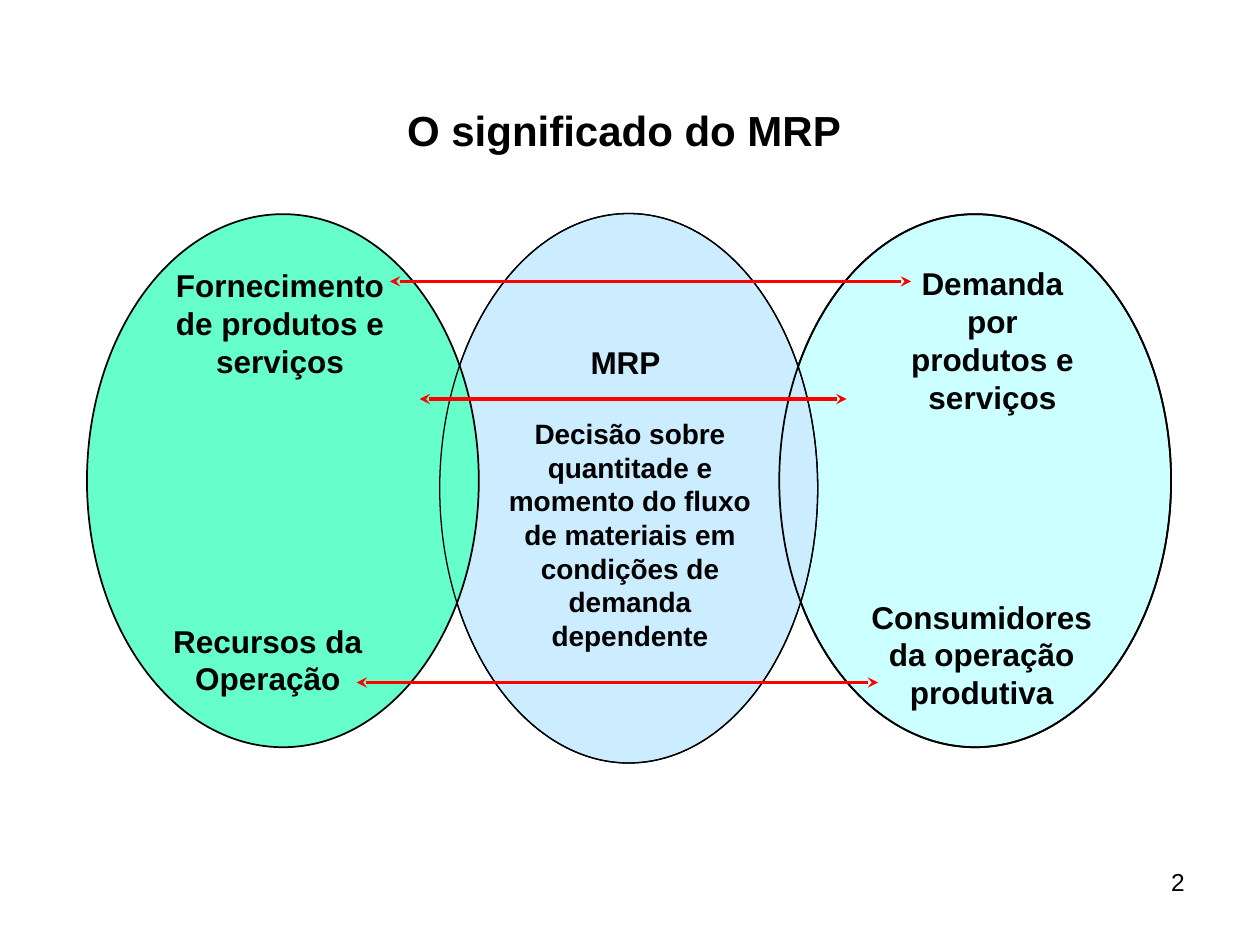
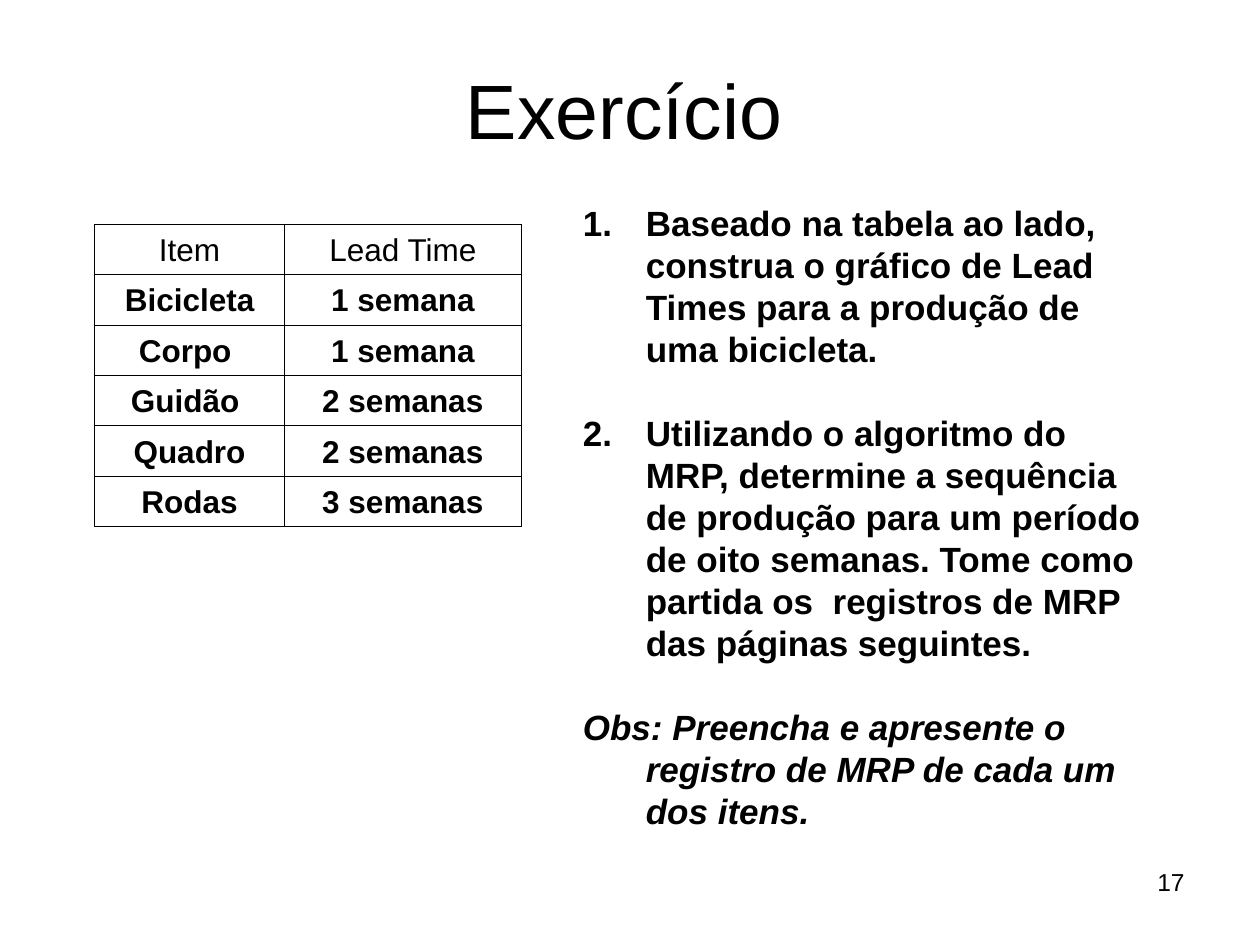
from lxml import etree
from pptx import Presentation
from pptx.dml.color import RGBColor
from pptx.enum.shapes import MSO_CONNECTOR, MSO_SHAPE
from pptx.enum.text import MSO_ANCHOR, PP_ALIGN
from pptx.oxml.ns import qn
from pptx.util import Pt

LEFT, CENTER, RIGHT = PP_ALIGN.LEFT, PP_ALIGN.CENTER, PP_ALIGN.RIGHT
MIDDLE, BOTTOM = MSO_ANCHOR.MIDDLE, MSO_ANCHOR.BOTTOM
OVAL, STRAIGHT = MSO_SHAPE.OVAL, MSO_CONNECTOR.STRAIGHT

FONT, BLACK, RED, GREY = "Arial", "000000", "FF0000", "808080"
PAGE_NUMBER_AREA = (516, 492, 168, 37.5)
LINE_HEIGHT = 1.2
HANGING = 36

# Meaning of MRP: left, top, width, height, fill, outline width; back to front
DEMAND_AREA = (445.3, 122.4, 223.9, 304.6)
MRP_AREA = (251.3, 122, 216, 314)
SUPPLY_AREA = (49.7, 122.4, 223.9, 304.6)
FILLED_OVALS = [
    (DEMAND_AREA, "CCFFFF", 1),
    (MRP_AREA, "CCECFF", 0.75),
    (SUPPLY_AREA, "66FFCC", 1),
]
OUTLINE_OVALS = [(MRP_AREA, None, 0.75), (DEMAND_AREA, None, 1)]
FLOW_ARROWS = [(520.6, 222.8, 160.8), (483.8, 239.8, 228), (501.8, 203.8, 390)]
HEADINGS = [
    ("O significado do MRP", (232.6, 59.8, 248.4, 28.8), 24),
    ("MRP", (337.5, 196, 40.3, 21.6), 18),
]
OVAL_LABELS = [
    ("Fornecimento de produtos e serviços", (89, 148.5, 142, 72), 18),
    ("Recursos da Operação", (82, 351.7, 142, 50.4), 18),
    ("Decisão sobre quantitade e momento do fluxo de materiais em "
     "condições de demanda dependente", (280.5, 234.6, 159, 141.6), 16),
    ("Demanda por produtos e serviços", (507.3, 147.6, 119.6, 93.6), 18),
    ("Consumidores da operação produtiva", (490, 338, 142, 72), 18),
]

# Exercise
LEAD_TIMES = [
    ("Item", "Lead Time"),
    ("Bicicleta", "1 semana"),
    ("Corpo ", "1 semana"),
    ("Guidão ", "2 semanas"),
    ("Quadro", "2 semanas"),
    ("Rodas", "3 semanas"),
]
TABLE_LEFT, TABLE_TOP, ROW_HEIGHT = 54, 128, 28.57
COLUMN_WIDTHS = (108.7, 135)
NUMBERED_TASKS = [
    "Baseado na tabela ao lado, construa o gráfico de Lead Times para a "
    "produção de uma bicicleta.",
    "Utilizando o algoritmo do MRP, determine a sequência de produção para um "
    "período de oito semanas. Tome como partida os  registros de MRP das "
    "páginas seguintes.",
]
TASK_NOTE = ("Obs: Preencha e apresente o registro de MRP de cada um dos itens.")


def color(value):
    return RGBColor.from_string(value)


def add_element(parent, tag, **attributes):
    return etree.SubElement(parent, qn(tag), attributes)


def write(para, text, size, align=LEFT, spacing=None, **formats):
    """Put text in a paragraph as one span; formats are font attributes."""
    para.alignment = align
    if spacing:
        para.line_spacing = spacing
    span = para.add_run()
    span.text = text
    for name, value in {"name": FONT, "size": Pt(size), **formats}.items():
        setattr(span.font, name, value)
    span.font.color.rgb = color(BLACK)
    return span


def add_frame(page, area, insets=(7.2, 3.6), wrap=True):
    frame = page.shapes.add_textbox(*map(Pt, area)).text_frame
    frame.word_wrap = wrap
    frame.margin_left = frame.margin_right = Pt(insets[0])
    frame.margin_top = frame.margin_bottom = Pt(insets[1])
    return frame


def add_page(deck, number):
    page = deck.slides.add_slide(deck.slide_layouts[6])
    frame = add_frame(page, PAGE_NUMBER_AREA)
    write(frame.paragraphs[0], number, 14, RIGHT)
    return page


def add_oval(page, area, fill, width):
    oval = page.shapes.add_shape(OVAL, *map(Pt, area))
    oval.shadow.inherit = False
    if fill:
        oval.fill.solid()
        oval.fill.fore_color.rgb = color(fill)
    else:
        oval.fill.background()
    oval.line.color.rgb = color(BLACK)
    oval.line.width = Pt(width)


def add_flow_arrow(page, right, left, y):
    arrow = page.shapes.add_connector(STRAIGHT, Pt(right), Pt(y), Pt(left), Pt(y))
    arrow.line.color.rgb = color(RED)
    arrow.line.width = Pt(2)
    line = arrow.line._get_or_add_ln()
    for tag in ("a:headEnd", "a:tailEnd"):
        add_element(line, tag, type="stealth", w="med", len="med")
    add_element(arrow._element.spPr, "a:effectLst")


def add_text_shadow(span):
    effects = etree.Element(qn("a:effectLst"))
    shadow = add_element(effects, "a:outerShdw", dist=str(Pt(3)), dir="2700000")
    add_element(shadow, "a:srgbClr", val=GREY)
    span.font._element.find(qn("a:solidFill")).addnext(effects)


def add_borders(cell):
    properties = cell._tc.get_or_add_tcPr()
    for tag in ("a:lnL", "a:lnR", "a:lnT", "a:lnB"):
        border = add_element(properties, tag, w=str(Pt(0.45)))
        fill = add_element(border, "a:solidFill")
        add_element(fill, "a:srgbClr", val=BLACK)


def add_lead_time_table(page):
    table = page.shapes.add_table(
        len(LEAD_TIMES), len(COLUMN_WIDTHS), Pt(TABLE_LEFT), Pt(TABLE_TOP),
        Pt(sum(COLUMN_WIDTHS)), Pt(ROW_HEIGHT * len(LEAD_TIMES))).table
    table.first_row = table.horz_banding = False
    for column, width in zip(table.columns, COLUMN_WIDTHS):
        column.width = Pt(width)
    for row_index, texts in enumerate(LEAD_TIMES):
        table.rows[row_index].height = Pt(ROW_HEIGHT)
        for column_index, text in enumerate(texts):
            cell = table.cell(row_index, column_index)
            add_borders(cell)
            cell.fill.background()
            cell.vertical_anchor = BOTTOM
            write(cell.text_frame.paragraphs[0], text, 18, CENTER,
                  bold=row_index > 0)


def add_tasks(page):
    size = 20
    pitch = Pt(size * LINE_HEIGHT)
    frame = add_frame(page, (326, 111.6, 335.5, 415.4))
    for index, text in enumerate(NUMBERED_TASKS + [TASK_NOTE]):
        para = frame.add_paragraph() if index else frame.paragraphs[0]
        numbered = index < len(NUMBERED_TASKS)
        properties = para._p.get_or_add_pPr()
        properties.set("marL", str(Pt(HANGING)))
        properties.set("indent", str(Pt(-HANGING)))
        if numbered:
            add_element(properties, "a:buFont", typeface=FONT)
            add_element(properties, "a:buAutoNum", type="arabicPeriod")
        else:
            add_element(properties, "a:buNone")
        if index:
            para.space_before = pitch
        write(para, text, size, spacing=pitch, bold=True, italic=not numbered)


def build_meaning(deck):
    page = add_page(deck, "2")
    for oval in FILLED_OVALS:
        add_oval(page, *oval)
    for oval in OUTLINE_OVALS:
        add_oval(page, *oval)
    for arrow in FLOW_ARROWS:
        add_flow_arrow(page, *arrow)
    for text, area, size in HEADINGS:
        frame = add_frame(page, area, insets=(0, 0), wrap=False)
        write(frame.paragraphs[0], text, size, spacing=Pt(size * LINE_HEIGHT),
              bold=True)
    for text, area, size in OVAL_LABELS:
        frame = add_frame(page, area)
        write(frame.paragraphs[0], text, size, CENTER, Pt(size * LINE_HEIGHT),
              bold=True)


def build_exercise(deck):
    page = add_page(deck, "17")
    frame = add_frame(page, (64.8, 20.2, 584, 89.3))
    frame.vertical_anchor = MIDDLE
    add_text_shadow(write(frame.paragraphs[0], "Exercício", 44, CENTER, 0.95))
    add_lead_time_table(page)
    add_tasks(page)


def main():
    deck = Presentation()
    deck.slide_width, deck.slide_height = Pt(720), Pt(540)
    build_meaning(deck)
    build_exercise(deck)
    deck.save("out.pptx")


if __name__ == "__main__":
    main()
